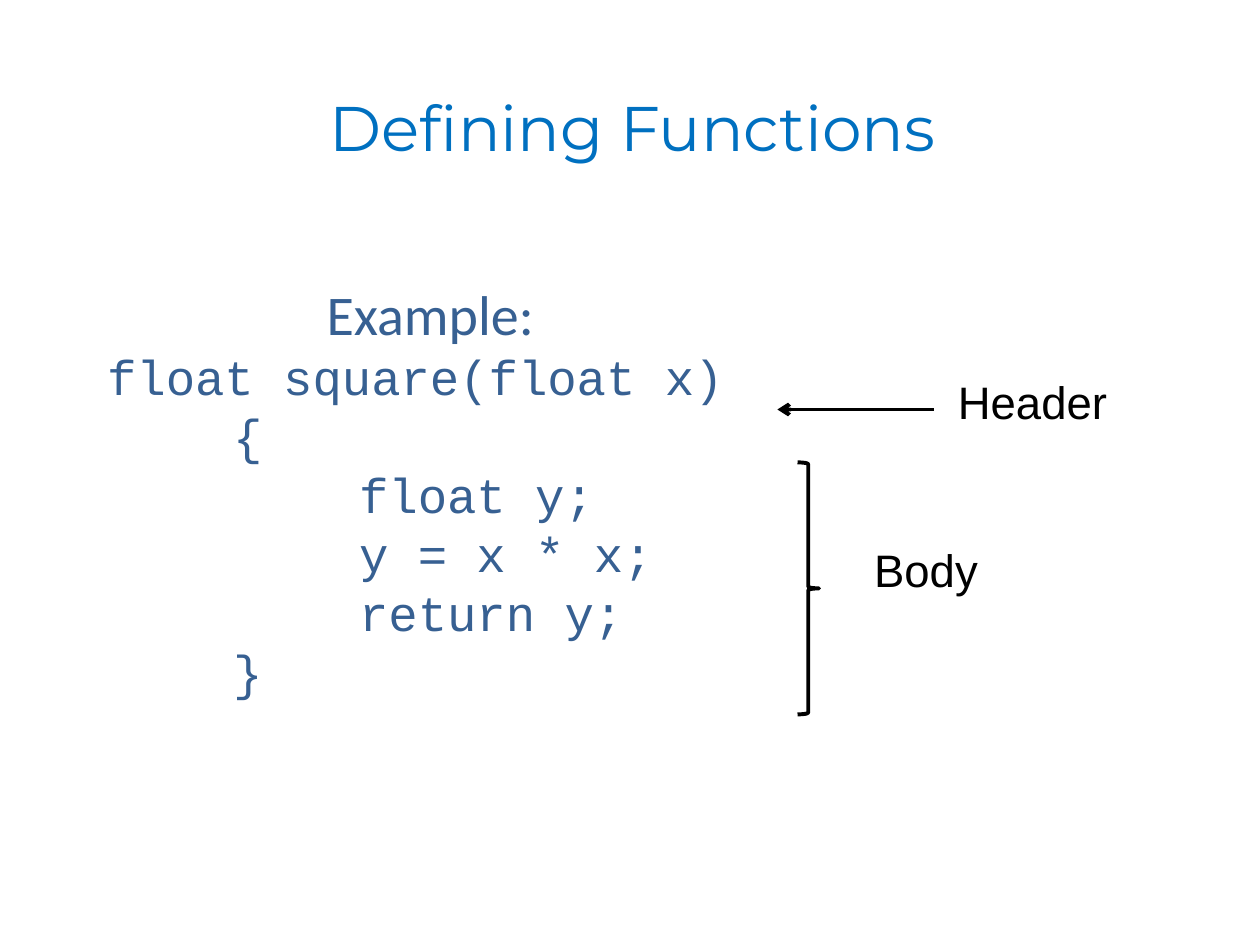
from dataclasses import dataclass

from lxml.etree import SubElement as Sub
from pptx import Presentation
from pptx.dml.color import RGBColor
from pptx.enum.shapes import MSO_CONNECTOR as Link, MSO_SHAPE as Form
from pptx.enum.text import MSO_ANCHOR as Anchor, MSO_AUTO_SIZE as Auto, PP_ALIGN as Align
from pptx.oxml.ns import qn
from pptx.util import Inches, Pt

BLUE = RGBColor(0x00, 0x70, 0xC0)
NAVY = RGBColor(0x37, 0x60, 0x92)
BLACK = RGBColor(0, 0, 0)
WIDE, HIGH = 10, 7.5
STROKE = 2.24
TAB = Inches(1)
CODE = (
    "float square(float x)",
    "\t{",
    "\t\tfloat y;",
    "\t\ty = x * x;",
    "\t\treturn y;",
    "\t}",
)


@dataclass
class Box:
    """A frame in inches."""
    left: float
    top: float
    wide: float
    high: float

    def emu(self) -> list:
        """Give the frame as lengths."""
        return [Inches(n) for n in (self.left, self.top, self.wide, self.high)]


@dataclass
class Label:
    """A caption for one part of the code."""
    text: str
    box: Box


LABELS = (
    Label("Header", Box(7.5, 2.92, 1.39, 0.53)),
    Label("Body", Box(6.84, 4.25, 1.02, 0.53)),
)


def write(para, text: str, *, size: float, font: str, color: RGBColor,
          align=Align.LEFT, before: float = 0) -> None:
    """Put one formatted run in a paragraph."""
    para.alignment = align
    para.space_before = Pt(before)
    run = para.add_run()
    run.text = text
    run.font.size = Pt(size)
    run.font.name = font
    run.font.color.rgb = color


def place(shape, box: Box, anchor=Anchor.TOP, wrap: bool = True):
    """Move a text shape and return its frame."""
    shape.left, shape.top, shape.width, shape.height = box.emu()
    frame = shape.text_frame
    frame.auto_size = Auto.NONE
    frame.word_wrap = wrap
    frame.vertical_anchor = anchor
    return frame


def plain(para) -> None:
    """Drop the bullet and indent, and set the tab width."""
    props = para._p.get_or_add_pPr()
    props.set("marL", "0")
    props.set("indent", "0")
    props.set("defTabSz", str(int(TAB)))
    Sub(props, qn("a:buNone"))


def ink(line) -> None:
    """Style a stroke."""
    line.color.rgb = BLACK
    line.width = Pt(STROKE)


def arrow(slide, start: float, end: float, y: float) -> None:
    """Draw a level arrow."""
    link = slide.shapes.add_connector(
        Link.STRAIGHT, Inches(start), Inches(y), Inches(end), Inches(y))
    ink(link.line)
    Sub(link.line._get_or_add_ln(), qn("a:tailEnd"), type="arrow")
    Sub(link._element.spPr, qn("a:effectLst"))


def brace(slide, box: Box) -> None:
    """Draw a right brace."""
    shape = slide.shapes.add_shape(Form.RIGHT_BRACE, *box.emu())
    shape.adjustments[0] = 0.083
    shape.adjustments[1] = 0.5
    shape.shadow.inherit = False
    shape.fill.background()
    ink(shape.line)


def main() -> None:
    """Build the slide."""
    deck = Presentation()
    deck.slide_width, deck.slide_height = Inches(WIDE), Inches(HIGH)
    slide = deck.slides.add_slide(deck.slide_layouts[1])
    title, body = slide.placeholders

    frame = place(title, Box(0.53, 0.35, 8.98, 1.3), Anchor.MIDDLE)
    write(frame.paragraphs[0], "Defining Functions", size=36,
          font="Montserrat", color=BLUE, align=Align.CENTER)

    frame = place(body, Box(0.75, 2.17, 5.33, 3.92))
    head = frame.paragraphs[0]
    write(head, "Example:", size=32, font="Calibri", color=NAVY,
          align=Align.CENTER, before=1.7)
    plain(head)
    for text in CODE:
        para = frame.add_paragraph()
        write(para, text, size=28, font="Courier New", color=NAVY)
        plain(para)

    for label in LABELS:
        shape = slide.shapes.add_textbox(*label.box.emu())
        frame = place(shape, label.box, wrap=False)
        write(frame.paragraphs[0], label.text, size=26, font="Arial",
              color=BLACK, align=Align.CENTER)

    arrow(slide, 7.41, 6.17, 3.25)
    brace(slide, Box(6.33, 3.67, 0.17, 2))
    deck.save("out.pptx")


main()
